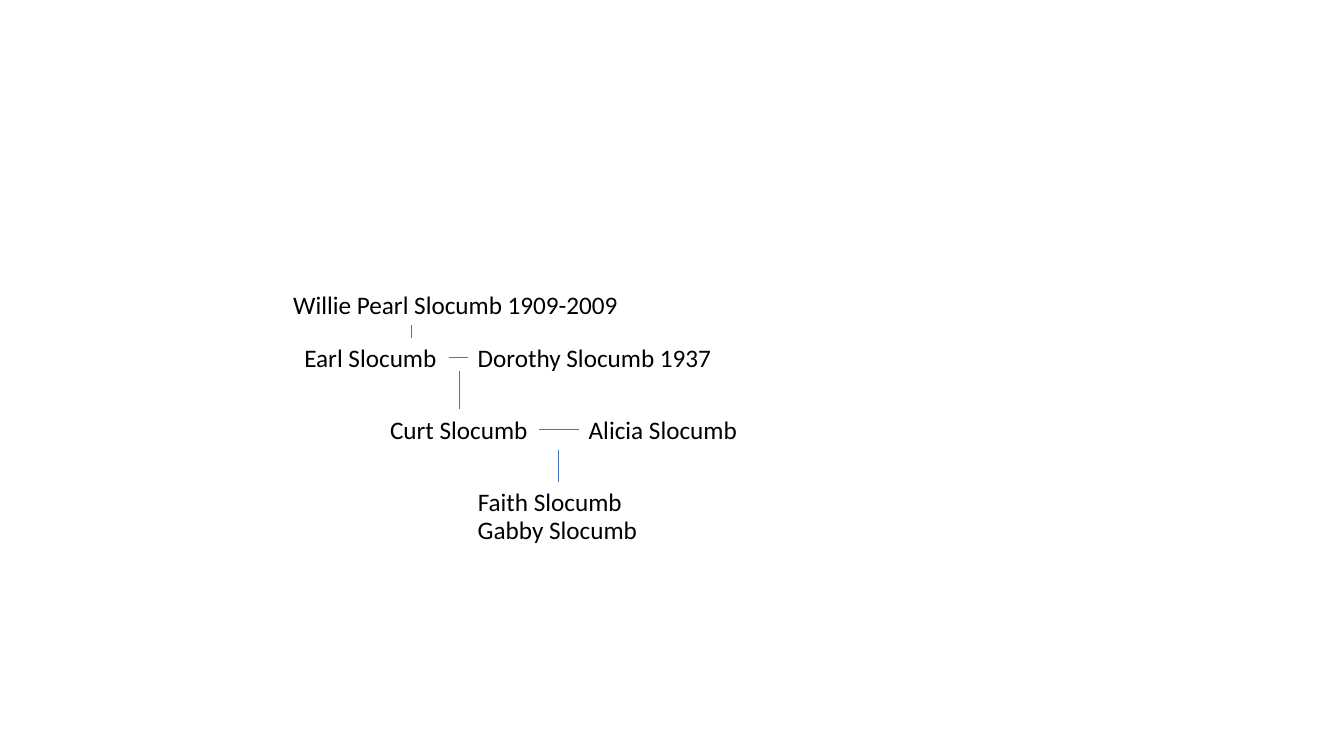
"""Build a family tree slide of four generations."""
import pptx
import pptx.dml.color
import pptx.enum.shapes
import pptx.enum.text
import pptx.oxml
import pptx.util

WIDE, HIGH = 13.33, 7.5
TALL = 0.4
COLORS = {"text": "000000", "line": "4472C4"}
ROWS = [2.82, 3.35, 4.06, 4.78, 5.05]
PEOPLE = {
    "Willie Pearl Slocumb 1909-2009": (0, 2.81, 3.46),
    "Earl Slocumb": (1, 2.92, 1.53),
    "Dorothy Slocumb 1937": (1, 4.64, 2.54),
    "Curt Slocumb": (2, 3.77, 1.58),
    "Alicia Slocumb": (2, 5.74, 1.69),
    "Faith Slocumb": (3, 4.64, 1.65),
    "Gabby Slocumb": (4, 4.64, 1.8),
}
COUPLES = [
    ("Earl Slocumb", "Dorothy Slocumb 1937"),
    ("Curt Slocumb", "Alicia Slocumb"),
]
DROPS = [(0, 4.08, TALL), (1, 4.56, 0.33), (2, 5.54, TALL)]


def color(key):
    return pptx.dml.color.RGBColor.from_string(COLORS[key])


def add_name(slide, name, row, left, width):
    spot = [pptx.util.Inches(n) for n in (left, ROWS[row], width, TALL)]
    frame = slide.shapes.add_textbox(*spot).text_frame
    frame.word_wrap = False
    frame.auto_size = pptx.enum.text.MSO_AUTO_SIZE.SHAPE_TO_FIT_TEXT
    para = frame.paragraphs[0]
    para.text = name
    para.font.name = "Calibri"
    para.font.size = pptx.util.Pt(18)
    para.font.color.rgb = color("text")


def add_line(slide, *ends):
    kind = pptx.enum.shapes.MSO_CONNECTOR.STRAIGHT
    link = slide.shapes.add_connector(kind, *[pptx.util.Inches(n) for n in ends])
    link.line.color.rgb = color("line")
    link.line.width = pptx.util.Pt(0.5)
    props = link._element.spPr
    props.append(props.makeelement(pptx.oxml.ns.qn("a:effectLst"), {}))


def main():
    deck = pptx.Presentation()
    deck.slide_width = pptx.util.Inches(WIDE)
    deck.slide_height = pptx.util.Inches(HIGH)
    slide = deck.slides.add_slide(deck.slide_layouts[6])
    for name, place in PEOPLE.items():
        add_name(slide, name, *place)
    for first, second in COUPLES:
        row, left, width = PEOPLE[first]
        mid = ROWS[row] + TALL / 2
        add_line(slide, left + width, mid, PEOPLE[second][1], mid)
    for row, x, gap in DROPS:
        add_line(slide, x, ROWS[row] + gap, x, ROWS[row + 1])
    deck.save("out.pptx")


if __name__ == "__main__":
    main()
